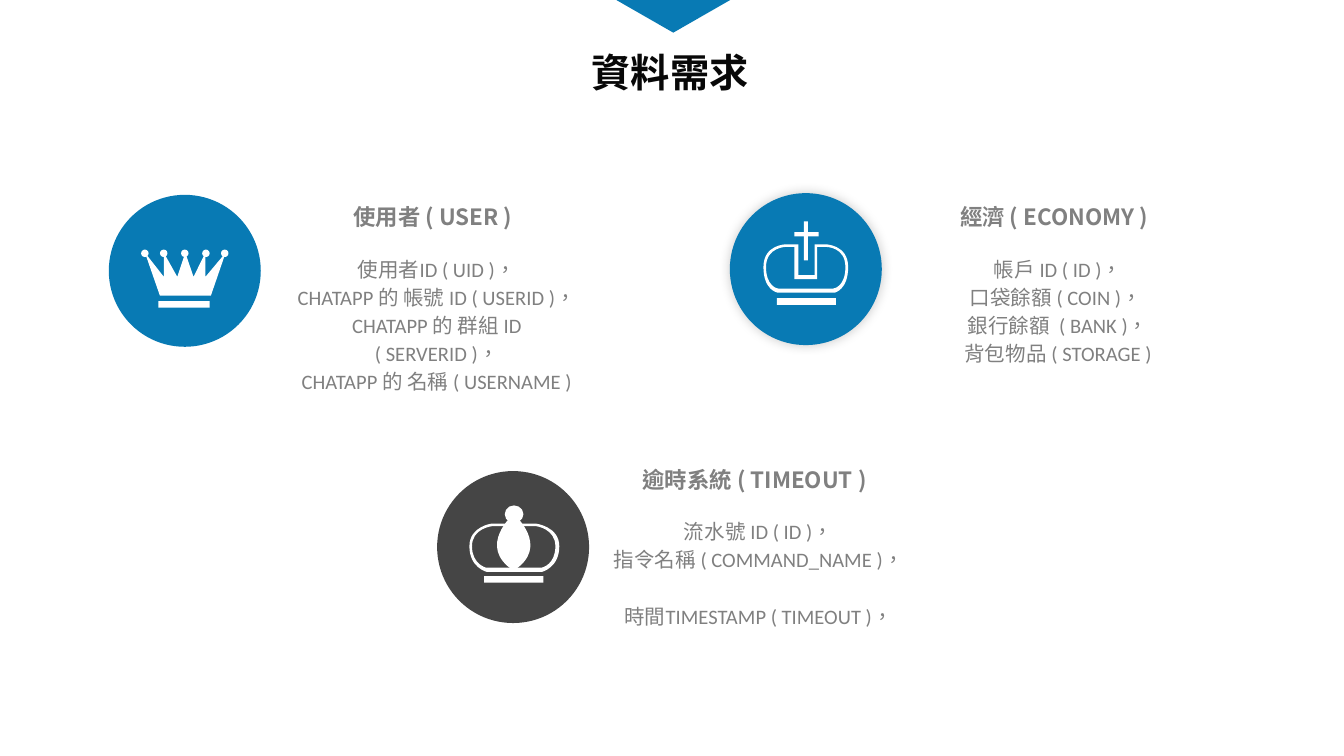
import dataclasses

import lxml.etree
import pptx
import pptx.dml.color
import pptx.enum.shapes
import pptx.enum.text
import pptx.oxml.ns
import pptx.util

Pt = pptx.util.Pt
KIND = pptx.enum.shapes.MSO_SHAPE
ALIGN = pptx.enum.text.PP_ALIGN
ANCHOR = pptx.enum.text.MSO_ANCHOR
qn = pptx.oxml.ns.qn


@dataclasses.dataclass(frozen=True)
class Theme:
    """Colours, fonts and type sizes of the slide."""
    blue: str = "087AB4"
    dark: str = "454545"
    white: str = "FFFFFF"
    ink: str = "080808"
    grey: str = "808080"
    plain: str = "Calibri"
    strong: str = "Noto Sans CJK SC"
    title: float = 21
    head: float = 12
    body: float = 11


THEME = Theme()
DISC = 81.4
MID = DISC / 2

SPIKES = [[(51.8, 43.9), (51.8, 31), (45.4, 43.9), (41, 31), (36.7, 43.9),
           (29.5, 31), (29.5, 43.9), (19.4, 31), (27.4, 54), (54.7, 54), (62.6, 31)]]
KING = [
    [(56.2, 53.3), (25.9, 53.3), (25.2, 53.3, 18, 51.8, 18, 39.6),
     (18, 27.4, 30.2, 27.4, 30.2, 27.4), (36.7, 27.4), (36.7, 43.9), (45.4, 43.9),
     (45.4, 27.4), (51.1, 27.4), (51.1, 27.4, 63.4, 27.4, 63.4, 39.6),
     (63.4, 51.8, 56.2, 53.3, 56.2, 53.3)],
    [(25.9, 51.1), (55.4, 51.1), (56.2, 51.1, 61.9, 49.7, 61.9, 39.6),
     (61.9, 28.8, 51.8, 28.8, 51.1, 28.8), (46.8, 28.8), (46.8, 46.1), (34.6, 46.1),
     (34.6, 28.8), (30.2, 28.8), (30.2, 28.8, 19.4, 28.8, 19.4, 39.6),
     (19.4, 49.7, 25.2, 51.1, 25.9, 51.1)],
]
QUEEN = [
    [(56.2, 54), (26.6, 54), (26.6, 54, 17.3, 51.8, 17.3, 40.3),
     (17.3, 29.5, 29.5, 28.1, 29.5, 28.1), (52.6, 28.1),
     (52.6, 28.1, 65.5, 29.5, 65.5, 40.3), (65.5, 51.8, 56.2, 54, 56.2, 54)],
    [(26.6, 51.8), (55.4, 51.8), (56.9, 51.8, 63.4, 49.7, 63.4, 40.3),
     (63.4, 30.9, 53.3, 29.5, 52.6, 29.5), (30.2, 29.5),
     (28.8, 29.5, 18.7, 30.9, 18.7, 40.3), (18.7, 49.7, 25.9, 51.8, 26.6, 51.8)],
]
LEAF = [[(41, 23), (41, 23, 20.9, 40.3, 41, 53.3), (61.2, 40.3, 41, 23, 41, 23)]]
TIP = [[(330.2, 0), (391.2, 0), (360.7, 17.5)]]


def rgb(code):
    """Turn a hex code into a colour."""
    return pptx.dml.color.RGBColor.from_string(code)


def paint(shape, color):
    """Give a shape a flat fill with no line or shadow."""
    shape.shadow.inherit = False
    shape.fill.solid()
    shape.fill.fore_color.rgb = rgb(color)
    shape.line.fill.background()
    return shape


def block(shapes, kind, box, color=THEME.white):
    """Add a flat preset shape."""
    return paint(shapes.add_shape(kind, *map(Pt, box)), color)


def bend(shape, loops):
    """Fold each three line steps of a curved item into one cubic curve."""
    steps = iter(list(shape._element.iter(qn("a:lnTo"))))
    for loop in loops:
        for item in loop[1:]:
            first = next(steps)
            if len(item) == 6:
                curve = lxml.etree.Element(qn("a:cubicBezTo"))
                first.addprevious(curve)
                for step in (first, next(steps), next(steps)):
                    curve.append(step[0])
                    step.getparent().remove(step)


def outline(shapes, loops, left=0, top=0, color=THEME.white):
    """Add a flat freeform whose loops hold corners and cubic curves."""
    pen = None
    for loop in loops:
        first, *rest = [(Pt(left + item[i]), Pt(top + item[i + 1]))
                        for item in loop for i in range(0, len(item), 2)]
        if pen is None:
            pen = shapes.build_freeform(*first)
        else:
            pen.move_to(*first)
        pen.add_line_segments(rest, close=False)
        pen.add_line_segments([], close=True)
    shape = paint(pen.convert_to_shape(), color)
    bend(shape, loops)
    return shape


def glow(shape):
    """Put a soft black shadow around a shape."""
    effect = shape._element.spPr.find(qn("a:effectLst"))
    shade = lxml.etree.SubElement(effect, qn("a:outerShdw"), blurRad=str(Pt(6)),
                                  dist="0", dir="18900000", rotWithShape="0")
    tone = lxml.etree.SubElement(shade, qn("a:srgbClr"), val="000000")
    lxml.etree.SubElement(tone, qn("a:alpha"), val="20000")


def badge(slide, left, top, color, loops, bars, balls=(), soft=False):
    """Add a grouped disc with a crown made of outlines, bars and balls."""
    shapes = slide.shapes.add_group_shape().shapes
    disc = block(shapes, KIND.OVAL, (left, top, DISC, DISC), color)
    if soft:
        glow(disc)
    for part in loops:
        outline(shapes, part, left, top)
    for kind, boxes in ((KIND.RECTANGLE, bars), (KIND.OVAL, balls)):
        for x, y, wide, high in boxes:
            block(shapes, kind, (left + x, top + y, wide, high))


def style(para, size, color, font, bold=False):
    """Centre a paragraph and set its font and language."""
    para.alignment = ALIGN.CENTER
    para.font.size = Pt(size)
    para.font.color.rgb = rgb(color)
    para.font.name = font
    para.font.bold = bold
    for run in para.runs:
        run._r.get_or_add_rPr().set("lang", "zh-TW")


def label(shapes, box, text, pad, *look):
    """Add a wrapped text box with one centred paragraph."""
    frame = shapes.add_textbox(*map(Pt, box)).text_frame
    frame.word_wrap = True
    frame.margin_left = frame.margin_right = Pt(2 * pad)
    frame.margin_top = frame.margin_bottom = Pt(pad)
    para = frame.paragraphs[0]
    para.text = text
    style(para, *look)
    return para


def entry(slide, left, top, head, lines, high=72.7):
    """Add a grouped heading with its list of fields below."""
    shapes = slide.shapes.add_group_shape().shapes
    label(shapes, (left, top, 157.7, 25.2), head, 5.3,
          THEME.head, THEME.grey, THEME.strong, True)
    para = label(shapes, (left - 10.8, top + 25.5, 183.6, high), "\v".join(lines), 6.5,
                 THEME.body, THEME.grey, THEME.plain)
    para.line_spacing = 1.14


def heading(slide, text):
    """Fill and place the title."""
    title = slide.shapes.title
    title.left, title.top, title.width, title.height = map(Pt, (245.2, 22.3, 227.5, 32.4))
    title.text_frame.vertical_anchor = ANCHOR.MIDDLE
    para = title.text_frame.paragraphs[0]
    para.text = text
    style(para, THEME.title, THEME.ink, THEME.plain, True)


def main():
    """Build the slide and save it."""
    deck = pptx.Presentation()
    deck.slide_width, deck.slide_height = Pt(720), Pt(405)
    slide = deck.slides.add_slide(deck.slide_layouts[5])
    heading(slide, "資料需求")
    outline(slide.shapes, TIP, color=THEME.blue)

    base = (25.2, 56.2, 31.7, 3.6)
    pearls = [(MID + gap - 2, 29.3, 4, 4) for gap in (-21.4, -11.3, 0, 11.3, 21.4)]
    cross = [(39.6, 15.1, 2.2, 20.9), (34.6, 20.9, 13, 2.2)]
    badge(slide, 58.3, 104.4, THEME.blue, [SPIKES], [(26.6, 56.9, 27.4, 3.6)], pearls)
    badge(slide, 391, 103.5, THEME.blue, [KING], [*cross, base], soft=True)
    badge(slide, 234.2, 252.4, THEME.dark, [QUEEN, LEAF], [base], [(36.2, 18.4, 10, 9.4)])

    entry(slide, 153, 103.7, "使用者 ( USER )", [
        "使用者ID ( UID )，",
        "CHATAPP 的 帳號 ID ( USERID )， CHATAPP 的 群組 ID ( SERVERID )，",
        "CHATAPP 的 名稱 ( USERNAME )"])
    entry(slide, 485.8, 103.7, "經濟 ( ECONOMY )", [
        "帳戶 ID ( ID )，", "口袋餘額 ( COIN )， ", "銀行餘額  ( BANK )，",
        "背包物品 ( STORAGE )"])
    entry(slide, 325.4, 244.4, "逾時系統 ( TIMEOUT )", [
        "流水號 ID ( ID )，", "指令名稱 ( COMMAND_NAME )， ",
        "時間TIMESTAMP ( TIMEOUT )，"], 57.6)
    deck.save("out.pptx")


if __name__ == "__main__":
    main()
